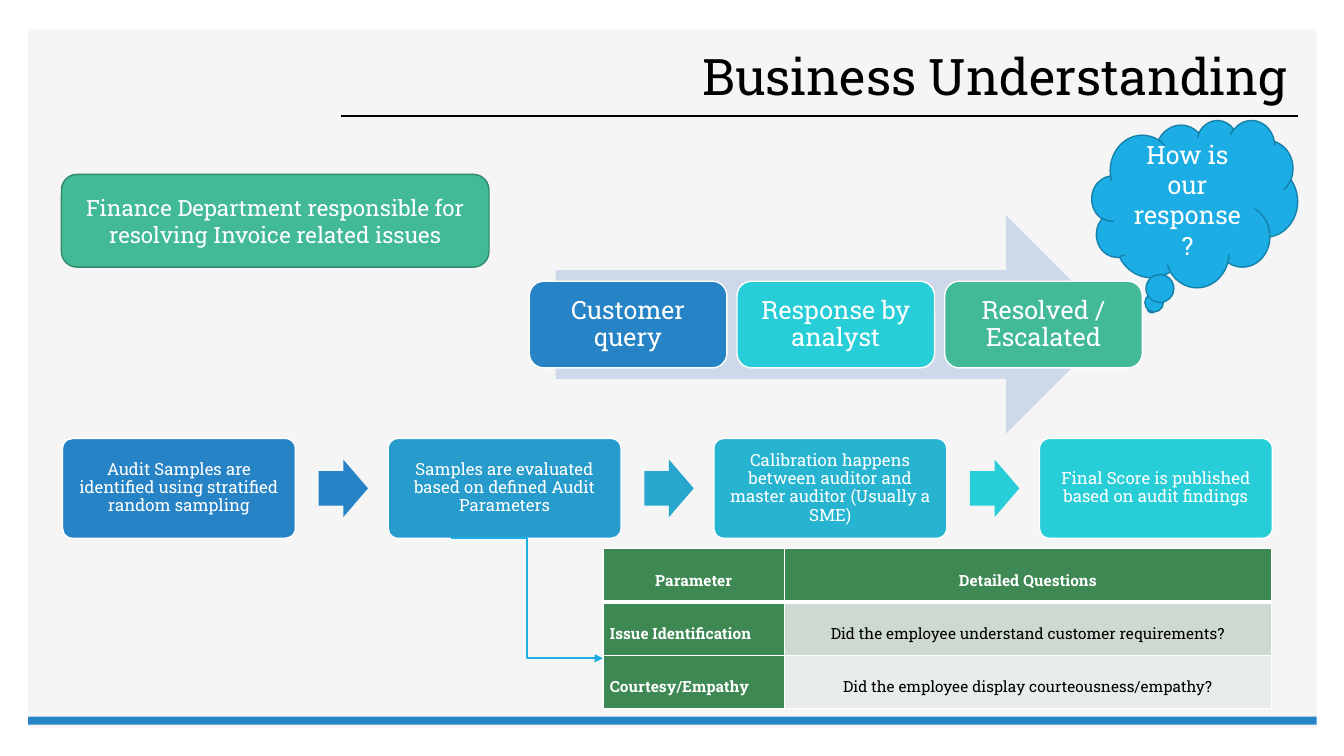
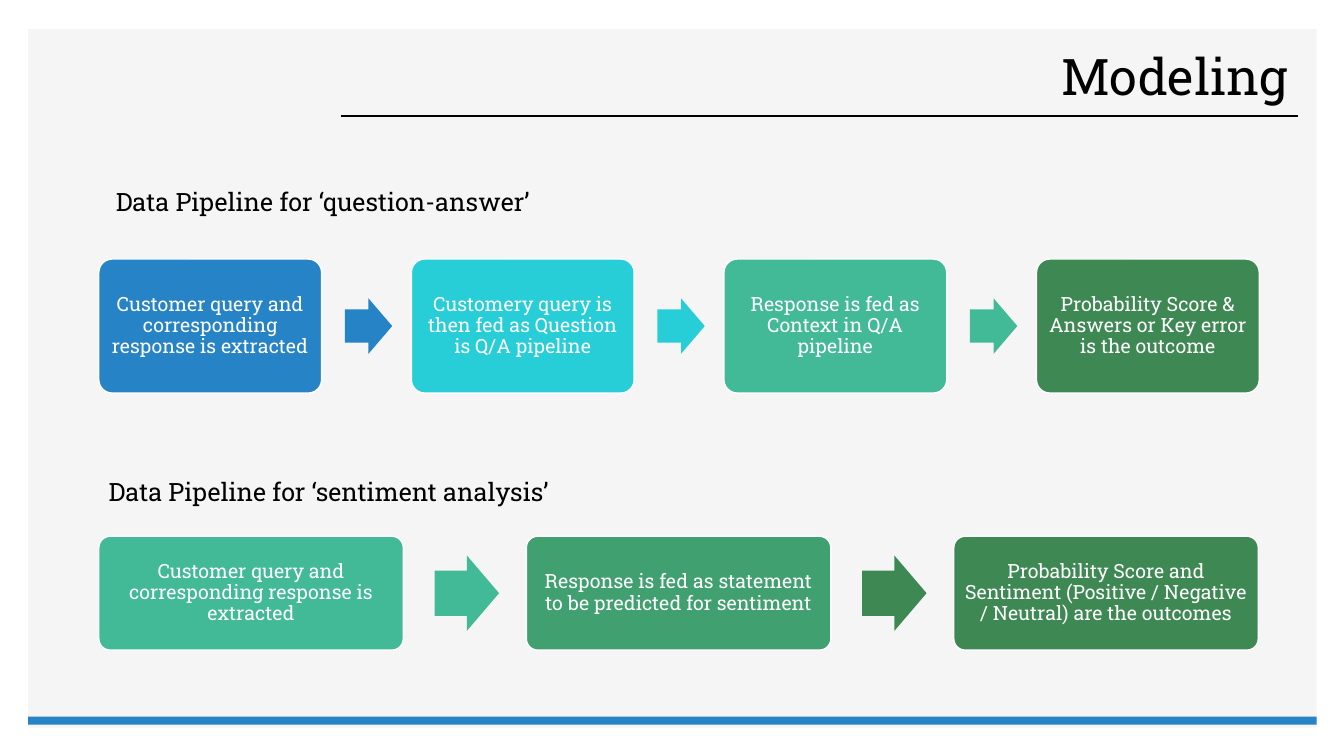
"""Build two slides on invoice query handling: business understanding and modeling."""
from pptx import Presentation
from pptx.dml.color import RGBColor
from pptx.enum.shapes import MSO_CONNECTOR as CONN, MSO_SHAPE as SHAPE
from pptx.enum.text import MSO_ANCHOR as ANCHOR, PP_ALIGN as ALIGN
from pptx.oxml import parse_xml
from pptx.oxml.ns import nsdecls
from pptx.util import Pt

PX = 9144
FONT = "Roboto Slab"
C = {
    "white": "FFFFFF", "black": "000000", "panel": "F5F5F5", "blue": "2683C6",
    "blue2": "269BCC", "blue3": "27A7CE", "blue4": "27B4D1", "cyan": "27CED7",
    "sky": "1CADE4", "sky_line": "1580A9", "teal": "42BA97", "teal_line": "318A70",
    "mid_green": "41A070", "green": "3E8853", "pale_arrow": "CDD9EA",
    "band1": "CEDAD1", "band2": "E8EDE9",
}


def write(tf, text, size=18, color="white", bold=False, align=ALIGN.CENTER,
          spacing=None, anchor=ANCHOR.MIDDLE, inset=(10, 5)):
    tf.word_wrap = True
    tf.vertical_anchor = anchor
    tf.margin_left = tf.margin_right = inset[0] * PX
    tf.margin_top = tf.margin_bottom = inset[1] * PX
    p = tf.paragraphs[0]
    p.alignment = align
    p.line_spacing = spacing
    r = p.add_run()
    r.text = text
    r.font.name, r.font.size, r.font.bold = FONT, Pt(size), bold
    r.font.color.rgb = RGBColor.from_string(C[color])


def draw(s, kind, box, fill, line=None, adj=()):
    sp = s.shapes.add_shape(kind, *(v * PX for v in box))
    sp.shadow.inherit = False
    sp.fill.solid()
    sp.fill.fore_color.rgb = RGBColor.from_string(C[fill])
    if line:
        sp.line.color.rgb = RGBColor.from_string(C[line])
        sp.line.width = Pt(1)
    else:
        sp.line.fill.background()
    for i, value in enumerate(adj):
        sp.adjustments[i] = value
    return sp


prs = Presentation()
prs.slide_width, prs.slide_height = 1333 * PX, 750 * PX
connectors = []

for title in ("Business Understanding", "Modeling"):
    s = prs.slides.add_slide(prs.slide_layouts[6])
    draw(s, SHAPE.RECTANGLE, (28, 29, 1278, 693), "panel")
    rule = s.shapes.add_connector(CONN.STRAIGHT, 338 * PX, 115 * PX, 1287 * PX, 115 * PX)
    connectors.append((rule, "black", 1))
    draw(s, SHAPE.RECTANGLE, (28, 711, 1278, 8), "blue")
    tb = s.shapes.add_textbox(370 * PX, 42 * PX, 917 * PX, 73 * PX)
    write(tb.text_frame, title, size=36, color="black", align=ALIGN.RIGHT, spacing=0.9)

business, modeling = prs.slides

flows = [
    (business, (62, 435, 231, 99), 323, (254, 49, 57), 12, 5,
     [("Audit Samples are identified using stratified random sampling", "blue"),
      ("Samples are evaluated based on defined Audit Parameters", "blue2"),
      ("Calibration happens between auditor and master auditor (Usually a SME)", "blue4"),
      ("Final Score is published based on audit findings", "cyan")],
     ["blue", "blue3", "cyan"]),
    (modeling, (98, 257, 221, 133), 310, (244, 47, 55), 14, 6,
     [("Customer query and corresponding response is extracted", "blue"),
      ("Customery query is then fed as Question is Q/A pipeline", "cyan"),
      ("Response is fed as Context in Q/A pipeline", "teal"),
      ("Probability Score & Answers or Key error is the outcome", "green")],
     ["blue", "cyan", "teal"]),
    (modeling, (98, 532, 302, 113), 424, (333, 64, 75), 14, 6,
     [("Customer query and corresponding response is extracted", "teal"),
      ("Response is fed as statement to be predicted for sentiment", "mid_green"),
      ("Probability Score and Sentiment (Positive / Negative / Neutral) are the outcomes",
       "green")],
     ["teal", "green"]),
]
for s, (x, y, w, h), pitch, (offset, aw, ah), size, pad, steps, arrows in flows:
    for i, (text, fill) in enumerate(steps):
        sp = draw(s, SHAPE.ROUNDED_RECTANGLE, (x + i * pitch, y, w, h), fill, "white", [0.1])
        write(sp.text_frame, text, size=size, spacing=0.9, inset=(pad, pad))
    for i, fill in enumerate(arrows):
        box = (x + i * pitch + offset, y + (h - ah) // 2, aw, ah)
        draw(s, SHAPE.RIGHT_ARROW, box, fill, adj=[0.6, 0.5])

rows = [
    [("Parameter", "green"), ("Detailed Questions", "green")],
    [("Issue Identification", "green"),
     ("Did the employee understand customer requirements?", "band1")],
    [("Courtesy/Empathy", "green"),
     ("Did the employee display courteousness/empathy?", "band2")],
]
table = business.shapes.add_table(3, 2, 598 * PX, 544 * PX, 663 * PX, 159 * PX).table
table.horz_banding = False
for col, width in zip(table.columns, (180, 483)):
    col.width = width * PX
for i, row in enumerate(rows):
    table.rows[i].height = 53 * PX
    for j, (text, fill) in enumerate(row):
        cell = table.cell(i, j)
        strong = fill == "green"
        write(cell.text_frame, text, size=11, color="white" if strong else "black",
              bold=strong, align=ALIGN.LEFT if i and not j else ALIGN.CENTER, spacing=1.5)
        cell.vertical_anchor = ANCHOR.MIDDLE
        cell.margin_left = cell.margin_right = 7 * PX
        cell.margin_top = cell.margin_bottom = 0
        for side in "LRTB":
            width = Pt(3 if (i, side) in ((0, "B"), (1, "T")) else 1)
            cell._tc.get_or_add_tcPr().append(parse_xml(
                f'<a:ln{side} {nsdecls("a")} w="{width}"><a:solidFill>'
                f'<a:srgbClr val="{C["white"]}"/></a:solidFill></a:ln{side}>'))
        cell.fill.solid()
        cell.fill.fore_color.rgb = RGBColor.from_string(C[fill])

elbow = business.shapes.add_connector(CONN.ELBOW, 447 * PX, 534 * PX, 598 * PX, 653 * PX)
connectors.append((elbow, "sky", 1.5))
for cn, color, width in connectors:
    cn.line.color.rgb = RGBColor.from_string(C[color])
    cn.line.width = Pt(width)
    cn._element.spPr.append(parse_xml(f'<a:effectLst {nsdecls("a")}/>'))
elbow.line._get_or_add_ln().append(parse_xml(f'<a:tailEnd {nsdecls("a")} type="triangle"/>'))

sp = draw(business, SHAPE.ROUNDED_RECTANGLE, (61, 173, 424, 92), "teal", "teal_line")
write(sp.text_frame, "Finance Department responsible for resolving Invoice related issues", size=16)

draw(business, SHAPE.RIGHT_ARROW, (551, 214, 555, 216), "pale_arrow")
stages = [("Customer query", "blue"), ("Response by analyst", "cyan"),
          ("Resolved / Escalated", "teal")]
for i, (text, fill) in enumerate(stages):
    sp = draw(business, SHAPE.ROUNDED_RECTANGLE, (525 + i * 206, 279, 196, 86), fill, "white")
    write(sp.text_frame, text, spacing=0.9, inset=(7, 7))

sp = draw(business, SHAPE.CLOUD_CALLOUT, (1083, 119, 204, 166), "sky", "sky_line")
write(sp.text_frame, "How is our response?")

for text, box in (("Data Pipeline for ‘question-answer’", (105, 180, 456, 40)),
                  ("Data Pipeline for ‘sentiment analysis’", (98, 468, 534, 40))):
    tb = modeling.shapes.add_textbox(*(v * PX for v in box))
    write(tb.text_frame, text, color="black", align=ALIGN.LEFT, anchor=ANCHOR.TOP)

prs.save("out.pptx")
